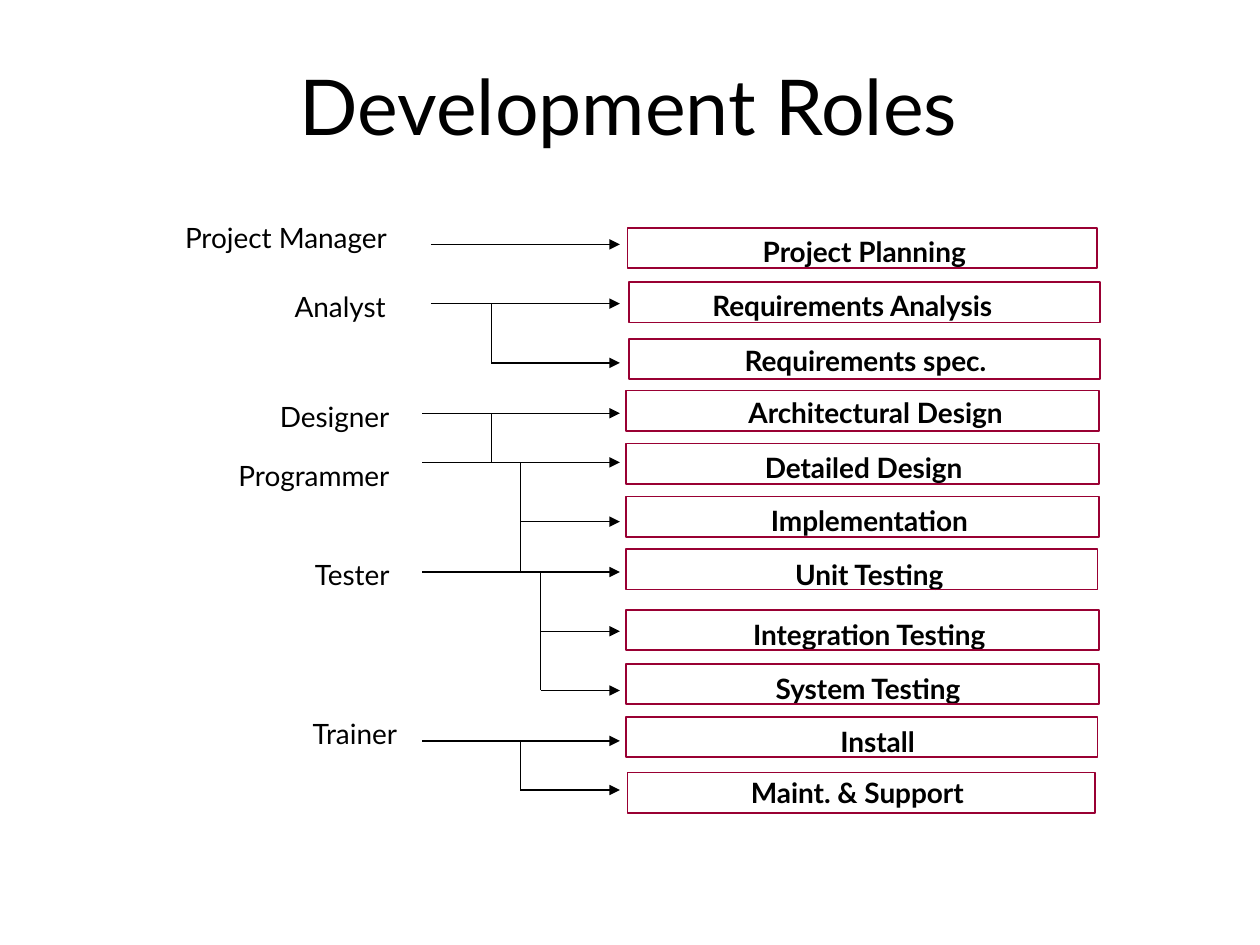
from collections import namedtuple
from dataclasses import dataclass

from pptx import Presentation
from pptx import util as u
from pptx.dml.color import RGBColor
from pptx.enum import shapes, text
from pptx.oxml.ns import qn
from lxml import etree

PX = 9144
LABEL_HEIGHT = 37
FRAME_HEIGHT = 32
Box = namedtuple("Box", "left top width height")
CENTER, RIGHT = text.PP_ALIGN.CENTER, text.PP_ALIGN.RIGHT


@dataclass(frozen=True)
class Theme:
    """Hold the colours, font, type sizes and line widths."""
    ink: RGBColor = RGBColor(0, 0, 0)
    frame: RGBColor = RGBColor(0x99, 0x00, 0x33)
    font: str = "Lato"
    title: int = 44
    label: int = 16
    frame_line: float = 1
    link_line: float = 0.75


THEME = Theme()

ROLES = [
    ("Project Manager", 88, 0, 192, CENTER),
    ("Analyst", 179, 55, 96, CENTER),
    ("Designer", 0, 142, 276, RIGHT),
    ("Programmer", 0, 189, 276, RIGHT),
    ("Tester", 16, 268, 260, RIGHT),
    ("Trainer", 63, 394, 219, RIGHT),
]

# Each stage: name, label (left, top, width), frame (left, top, width).
STAGES = [
    ("Project Planning", (31, 0, 374), (30, 0, 373)),
    ("Requirements Analysis", (31, 43, 355), (31, 43, 374)),
    ("Requirements spec.", (100, 87, 238), (31, 88, 374)),
    ("Architectural Design", (103, 128, 248), (29, 129, 375)),
    ("Detailed Design", (120, 172, 195), (29, 171, 375)),
    ("Implementation", (121, 214, 202), (29, 213, 375)),
    ("Unit Testing", (144, 257, 156), (29, 255, 374)),
    ("Integration Testing", (104, 304, 236), (29, 303, 375)),
    ("System Testing", (127, 347, 188), (29, 346, 375)),
    ("Install", (183, 389, 91), (29, 388, 374)),
    ("Maint. & Support", (0, 430, 425), (30, 432, 371)),
]

ARROWS = [(7, 0), (7, 47), (55, 94), (0, 134), (0, 173), (78, 220),
          (0, 260), (94, 307), (94, 354), (0, 394), (78, 433)]
BRANCHES = [(55, 47, 94), (55, 134, 173), (78, 173, 260),
            (94, 260, 354), (78, 394, 433)]


def emu(*lengths):
    """Turn px lengths into EMU."""
    return [length * PX for length in lengths]


def write(shape, words, size, align, bold=False):
    """Write one formatted paragraph into a shape."""
    frame = shape.text_frame
    frame.word_wrap = True
    para = frame.paragraphs[0]
    para.alignment = align
    span = para.add_run()
    span.text = words
    formats = {"name": THEME.font, "size": u.Pt(size), "bold": bold}
    for name, value in formats.items():
        setattr(span.font, name, value)
    span.font.color.rgb = THEME.ink


def add_label(page, words, box, align, bold=False):
    """Add a one-line label."""
    label = page.shapes.add_textbox(*emu(*box))
    write(label, words, THEME.label, align, bold)
    label.text_frame.auto_size = text.MSO_AUTO_SIZE.SHAPE_TO_FIT_TEXT


def add_link(page, start, end, arrow=False):
    """Add a thin straight line, with an arrowhead if asked."""
    link = page.shapes.add_connector(
        shapes.MSO_CONNECTOR.STRAIGHT, *emu(*start, *end))
    link.line.color.rgb = THEME.ink
    link.line.width = u.Pt(THEME.link_line)
    properties = link._element.spPr
    if arrow:
        outline = properties.find(qn("a:ln"))
        etree.SubElement(outline, qn("a:tailEnd"), type="triangle")
    etree.SubElement(properties, qn("a:effectLst"))


def place_title(page, box):
    """Fill the title placeholder."""
    title = page.shapes.title
    for name, value in zip(box._fields, emu(*box)):
        setattr(title, name, value)
    write(title, "Development Roles", THEME.title, CENTER)
    title.text_frame.vertical_anchor = text.MSO_ANCHOR.MIDDLE
    title.text_frame.auto_size = text.MSO_AUTO_SIZE.NONE


def place_roles(page, box):
    """Place the role names."""
    for words, left, top, width, align in ROLES:
        place = Box(box.left + left, box.top + top, width, LABEL_HEIGHT)
        add_label(page, words, place, align)


def place_stages(page, box):
    """Place the framed stage names."""
    for words, label, frame in STAGES:
        left, top, width = label
        place = Box(box.left + left, box.top + top, width, LABEL_HEIGHT)
        add_label(page, words, place, CENTER, bold=True)
        left, top, width = frame
        outline = page.shapes.add_shape(
            shapes.MSO_SHAPE.RECTANGLE,
            *emu(box.left + left, box.top + top, width, FRAME_HEIGHT))
        outline.shadow.inherit = False
        outline.fill.background()
        outline.line.color.rgb = THEME.frame
        outline.line.width = u.Pt(THEME.frame_line)


def place_links(page, box):
    """Place the arrows to the stages and the branches between them."""
    right = box.left + box.width
    for left, top in ARROWS:
        height = box.top + top
        add_link(page, (box.left + left, height), (right, height), arrow=True)
    for left, top, bottom in BRANCHES:
        across = box.left + left
        add_link(page, (across, box.top + top), (across, box.top + bottom))


def main():
    """Build and save the deck."""
    deck = Presentation()
    deck.slide_width, deck.slide_height = emu(1000, 750)
    page = deck.slides.add_slide(deck.slide_layouts.get_by_name("Title Only"))
    place_title(page, Box(83, 28, 832, 110))
    place_roles(page, Box(43, 170, 282, 431))
    place_stages(page, Box(468, 181, 425, 467))
    place_links(page, Box(335, 194, 157, 433))
    deck.save("out.pptx")


if __name__ == "__main__":
    main()
